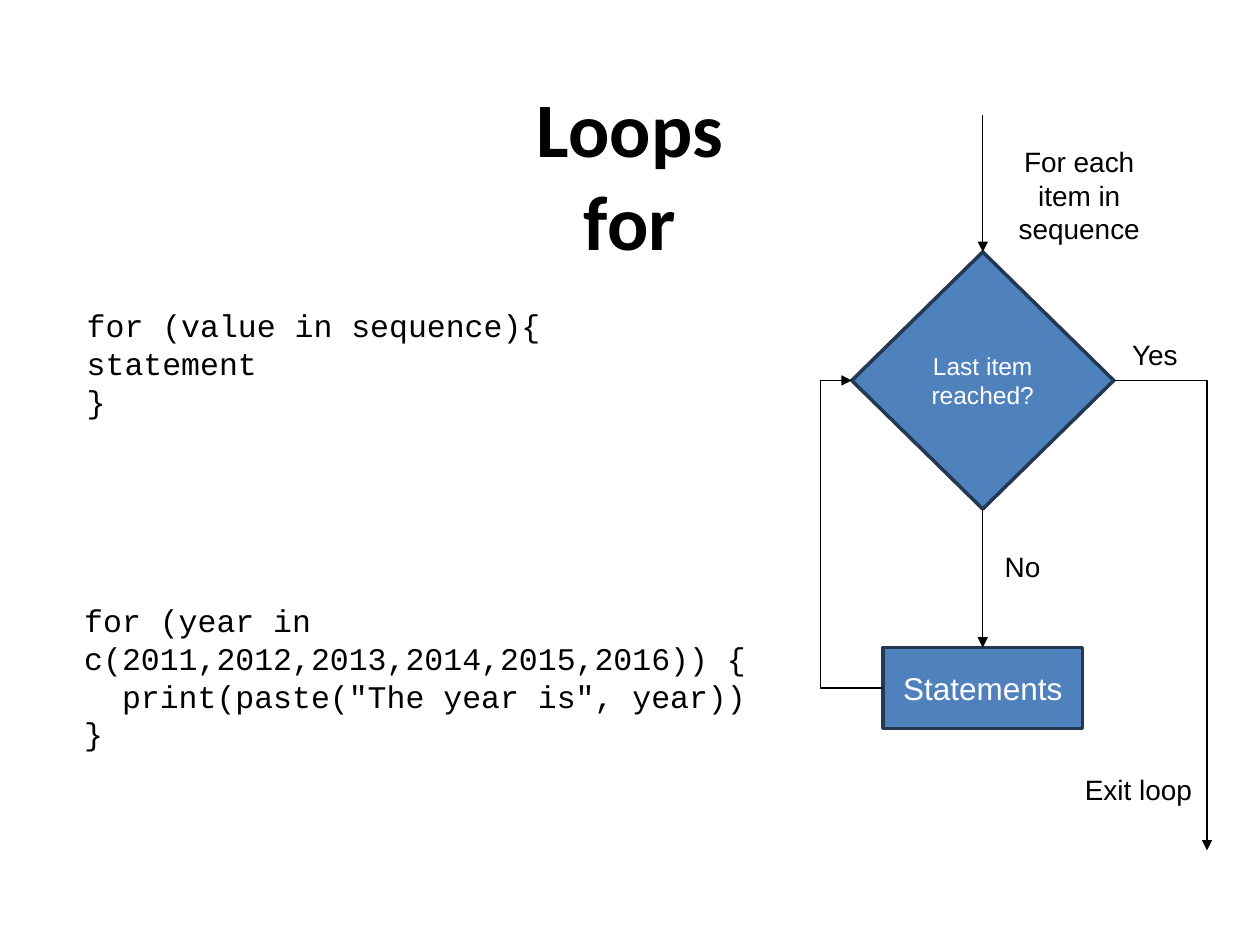
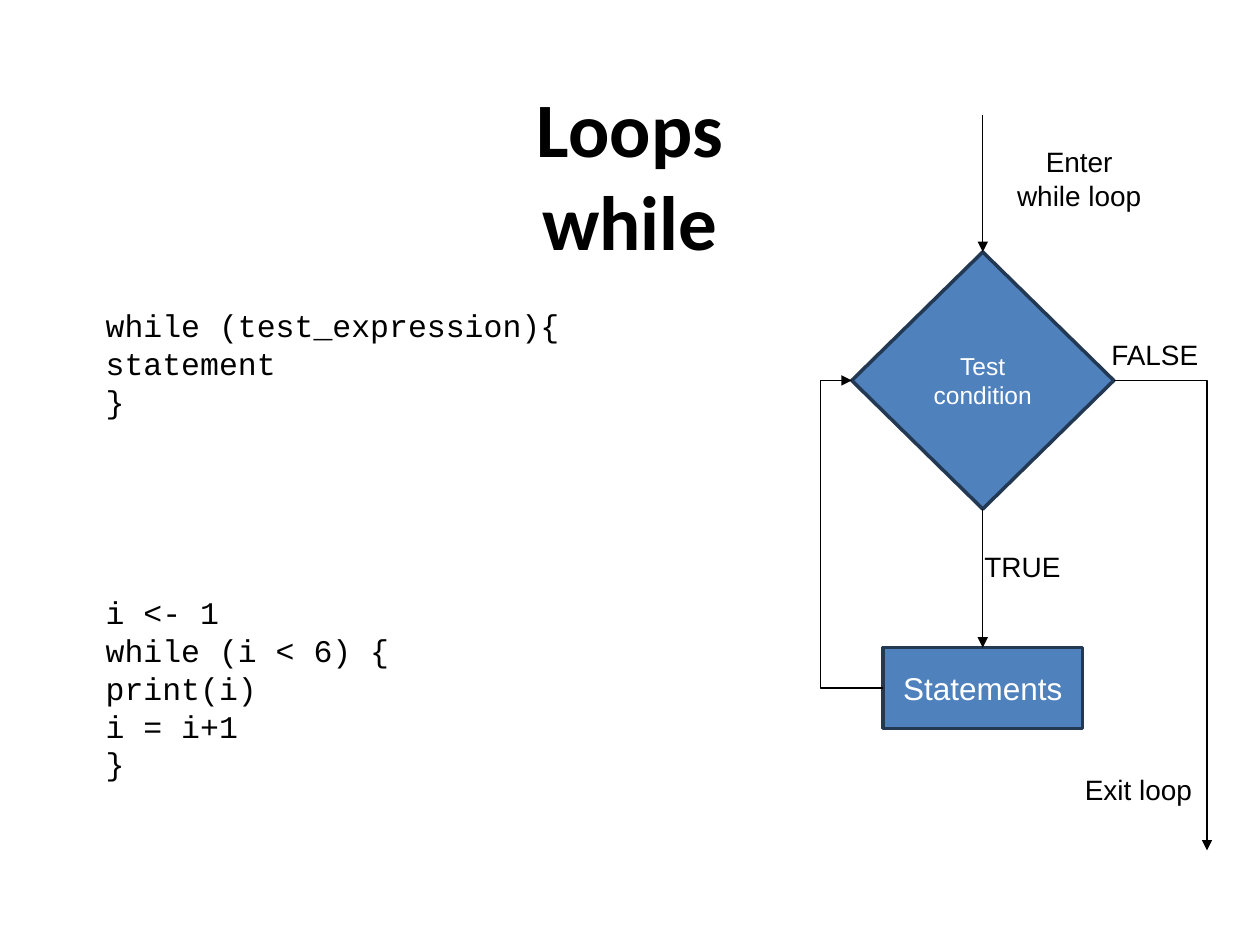
"""Builds two slides that explain for and while loops with code and a flowchart."""
from dataclasses import dataclass

from pptx import Presentation
from pptx.dml.color import RGBColor as RGB
from pptx.enum.shapes import MSO_CONNECTOR as CONNECTOR, MSO_SHAPE as SHAPE
from pptx.enum.text import MSO_ANCHOR as ANCHOR, MSO_AUTO_SIZE as AUTO_SIZE, PP_ALIGN as ALIGN
from pptx.oxml.ns import qn
from pptx.oxml.xmlchemy import OxmlElement
from pptx.util import Pt

EMU_PER_PX = 9144
SLIDE_SIZE = (1000, 750)
TOP, LEFT, BOTTOM, RIGHT = range(4)


@dataclass(frozen=True)
class Theme:
    """Colours, fonts and type sizes."""
    ink: RGB = RGB(0, 0, 0)
    node_fill: RGB = RGB(0x4F, 0x81, 0xBD)
    node_line: RGB = RGB(0x23, 0x39, 0x53)
    node_text: RGB = RGB(255, 255, 255)
    title_font: str = "Calibri"
    code_font: str = "Courier New"
    chart_font: str = "Arial"
    title_size: int = 44
    code_size: int = 18
    decision_size: int = 14
    statements_size: int = 18
    label_size: int = 16
    node_line_width: float = 2
    arrow_width: float = 0.75


THEME = Theme()

LOOPS = [
    {
        "title": ["Loops", "for"],
        "code": [
            ((59, 238, 500, 101), ["for (value in sequence){", "statement", "}"]),
            ((57, 472, 559, 131), [
                "for (year in c(2011,2012,2013,2014,2015,2016)) {",
                '  print(paste("The year is", year))',
                "}",
            ]),
        ],
        "decision": "Last item reached?",
        "labels": {"enter": "For each item in sequence", "exit": "Yes", "repeat": "No"},
    },
    {
        "title": ["Loops", "while"],
        "code": [
            ((74, 238, 500, 101), ["while (test_expression){", "statement", "}"]),
            ((74, 466, 500, 160), ["i <- 1", "while (i < 6) {", "print(i)", "i = i+1", "}"]),
        ],
        "decision": "Test condition",
        "labels": {"enter": "Enter while loop", "exit": "FALSE", "repeat": "TRUE"},
    },
]
SHARED_LABELS = {"end": "Exit loop"}
STATEMENTS = "Statements"

TITLE_BOX = (50, 75, 900, 125)
DECISION_BOX = (676, 200, 208, 204)
STATEMENTS_BOX = (701, 514, 158, 64)
LABEL_SIZE = (119, 37)
LABEL_CORNERS = {"enter": (797, 110), "exit": (857, 263), "end": (844, 608), "repeat": (752, 431)}
ENTRY_TOP = 91
RETURN_LANE = 651
EXIT_POINT = (958, 675)


def emu(*lengths):
    return [round(length * EMU_PER_PX) for length in lengths]


def side_middle(box, side):
    left, top, width, height = box
    return {
        TOP: (left + width // 2, top),
        LEFT: (left, top + height // 2),
        BOTTOM: (left + width // 2, top + height),
        RIGHT: (left + width, top + height // 2),
    }[side]


def add_run(paragraph, text, font, size, color, bold=False):
    run = paragraph.add_run()
    run.text = text
    run.font.name, run.font.size, run.font.bold = font, Pt(size), bold
    run.font.color.rgb = color


def set_title(slide, lines):
    title = slide.shapes.title
    title.left, title.top, title.width, title.height = emu(*TITLE_BOX)
    frame = title.text_frame
    frame.auto_size, frame.vertical_anchor = AUTO_SIZE.NONE, ANCHOR.MIDDLE
    frame.margin_left = frame.margin_right = frame.margin_top = frame.margin_bottom = 0
    heading = frame.paragraphs[0]
    heading.alignment = ALIGN.CENTER
    for index, line in enumerate(lines):
        if index:
            heading.add_line_break()
        add_run(heading, line, THEME.title_font, THEME.title_size, THEME.ink, bold=True)


def add_text(slide, box, lines, font, size, align):
    frame = slide.shapes.add_textbox(*emu(*box)).text_frame
    frame.word_wrap, frame.auto_size = True, AUTO_SIZE.SHAPE_TO_FIT_TEXT
    for index, line in enumerate(lines):
        paragraph = frame.add_paragraph() if index else frame.paragraphs[0]
        paragraph.alignment = align
        add_run(paragraph, line, font, size, THEME.ink)


def add_node(slide, kind, box, text, size):
    node = slide.shapes.add_shape(kind, *emu(*box))
    node.shadow.inherit = False
    node.fill.solid()
    node.fill.fore_color.rgb = THEME.node_fill
    node.line.color.rgb = THEME.node_line
    node.line.width = Pt(THEME.node_line_width)
    node.text_frame.vertical_anchor = ANCHOR.MIDDLE
    paragraph = node.text_frame.paragraphs[0]
    paragraph.alignment = ALIGN.CENTER
    add_run(paragraph, text, THEME.chart_font, size, THEME.node_text)
    return node


def add_arrow(slide, kind, start, end, source=None, target=None):
    arrow = slide.shapes.add_connector(kind, *emu(*start, *end))
    arrow.line.color.rgb = THEME.ink
    arrow.line.width = Pt(THEME.arrow_width)
    head = OxmlElement("a:tailEnd")
    head.set("type", "triangle")
    arrow.line._get_or_add_ln().append(head)
    arrow._element.spPr.append(OxmlElement("a:effectLst"))
    if source:
        arrow.begin_connect(*source)
    if target:
        arrow.end_connect(*target)
    return arrow


def add_flowchart(slide, question):
    decision = add_node(slide, SHAPE.FLOWCHART_DECISION, DECISION_BOX, question, THEME.decision_size)
    statements = add_node(slide, SHAPE.FLOWCHART_PROCESS, STATEMENTS_BOX, STATEMENTS,
                          THEME.statements_size)
    decision_top, decision_left, decision_bottom, decision_right = (
        side_middle(DECISION_BOX, side) for side in (TOP, LEFT, BOTTOM, RIGHT))
    statements_left = side_middle(STATEMENTS_BOX, LEFT)

    add_arrow(slide, CONNECTOR.STRAIGHT, (decision_top[0], ENTRY_TOP), decision_top,
              target=(decision, TOP))
    add_arrow(slide, CONNECTOR.STRAIGHT, decision_bottom, side_middle(STATEMENTS_BOX, TOP),
              (decision, BOTTOM), (statements, TOP))

    repeat = add_arrow(slide, CONNECTOR.ELBOW, statements_left, decision_left,
                       (statements, LEFT), (decision, LEFT))
    bend = (statements_left[0] - RETURN_LANE) / (statements_left[0] - decision_left[0])
    guide = OxmlElement("a:gd")
    guide.set("name", "adj1")
    guide.set("fmla", f"val {round(bend * 100000)}")
    repeat._element.spPr.find(qn("a:prstGeom")).get_or_add_avLst().append(guide)

    leave = add_arrow(slide, CONNECTOR.ELBOW, decision_right, EXIT_POINT, (decision, RIGHT))
    leave._element.spPr.find(qn("a:prstGeom")).set("prst", "bentConnector2")


def main():
    deck = Presentation()
    deck.slide_width, deck.slide_height = emu(*SLIDE_SIZE)
    title_only = deck.slide_layouts.get_by_name("Title Only")
    for loop in LOOPS:
        slide = deck.slides.add_slide(title_only)
        set_title(slide, loop["title"])
        for box, lines in loop["code"]:
            add_text(slide, box, lines, THEME.code_font, THEME.code_size, ALIGN.LEFT)
        add_flowchart(slide, loop["decision"])
        for place, label in (loop["labels"] | SHARED_LABELS).items():
            add_text(slide, LABEL_CORNERS[place] + LABEL_SIZE, [label], THEME.chart_font,
                     THEME.label_size, ALIGN.CENTER)
    deck.save("out.pptx")


if __name__ == "__main__":
    main()
